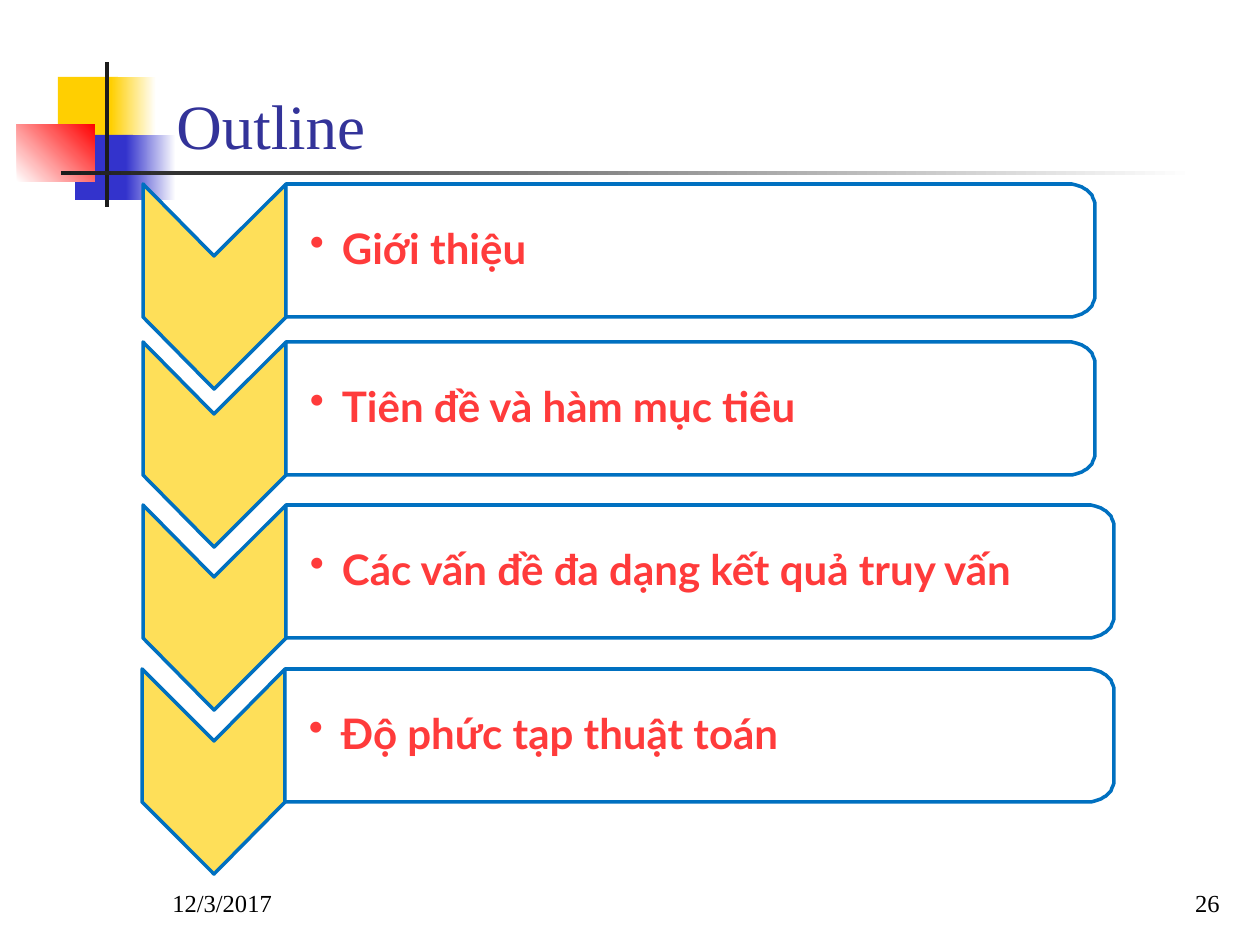
from math import cos, pi, sin
from lxml import etree
from pptx import Presentation
from pptx.dml.color import RGBColor
from pptx.enum.shapes import MSO_SHAPE
from pptx.enum.text import MSO_ANCHOR, PP_ALIGN
from pptx.oxml.ns import qn
from pptx.util import Pt

RECT = MSO_SHAPE.RECTANGLE
BOTTOM, MIDDLE = MSO_ANCHOR.BOTTOM, MSO_ANCHOR.MIDDLE
LEFT, RIGHT = PP_ALIGN.LEFT, PP_ALIGN.RIGHT

WHITE = RGBColor(0xFF, 0xFF, 0xFF)
BLACK = RGBColor(0, 0, 0)
DARK = RGBColor(0x1C, 0x1C, 0x1C)
GOLD = RGBColor(0xFF, 0xCF, 0x01)
INDIGO = RGBColor(0x33, 0x33, 0xCC)
NAVY = RGBColor(0x33, 0x33, 0x99)
RED = RGBColor(0xFF, 0, 0)
CORAL = RGBColor(0xFF, 0x3B, 0x3B)
YELLOW = RGBColor(0xFE, 0xDF, 0x59)
BLUE = RGBColor(0, 0x70, 0xC0)

SERIF, SANS = "Times New Roman", "Lato"
SCALE = 914400 / 126

DECOR = [
    ((58, 77, 60, 66), (GOLD,), 0),
    ((111, 77, 45, 66), (GOLD, WHITE), 0),
    ((75, 135, 58, 65), (INDIGO,), 0),
    ((126, 135, 50, 65), (INDIGO, WHITE), 0),
    ((17, 124, 78, 58), (WHITE, RED), 45),
    ((105, 62, 4, 145), (DARK,), 0),
    ((61, 171, 1134, 4), (DARK, WHITE), 0),
]
LABELS = [
    ("Outline", (164, 29, 1068, 139), 36, NAVY, LEFT),
    ("12/3/2017", (160, 861, 262, 63), 14, BLACK, LEFT),
    ("26", (970, 861, 262, 63), 14, BLACK, RIGHT),
]
STEPS = [
    ("Giới thiệu", 143, 184, 1095),
    ("Tiên đề và hàm mục tiêu", 143, 342, 1095),
    ("Các vấn đề đa dạng kết quả truy vấn", 143, 505, 1114),
    ("Độ phức tạp thuật toán", 142, 669, 1114),
]
WIDE, TALL, NOTCH = 143, 133, 72
CURVE_X, CURVE_Y, TURNS = 26, 22, 12


def px(n):
    return round(n * SCALE)


def write(frame, text, font, size, color, bold=False):
    para = frame.paragraphs[0]
    run = para.add_run()
    run.text = text
    run.font.name, run.font.size = font, Pt(size)
    run.font.bold, run.font.color.rgb = bold, color
    return para


def draw(shapes, points, fill):
    pen = shapes.build_freeform(*points[0], scale=SCALE)
    pen.add_line_segments(points[1:], close=True)
    shape = pen.convert_to_shape()
    shape.shadow.inherit = False
    shape.fill.solid()
    shape.fill.fore_color.rgb = fill
    shape.line.color.rgb = BLUE
    shape.line.width = Pt(2)
    return shape


def add_decor(shapes, area, colors, angle):
    shape = shapes.add_shape(RECT, *map(px, area))
    shape.shadow.inherit = False
    shape.line.fill.background()
    if len(colors) == 1:
        shape.fill.solid()
        shape.fill.fore_color.rgb = colors[0]
        return
    shape.fill.gradient()
    shape.fill.gradient_angle = angle
    for stop, color in zip(shape.fill.gradient_stops, colors):
        stop.color.rgb = color


def add_label(shapes, text, area, size, color, align):
    frame = shapes.add_textbox(*map(px, area)).text_frame
    frame.word_wrap = True
    frame.vertical_anchor = BOTTOM
    write(frame, text, SERIF, size, color).alignment = align


def add_step(shapes, text, left, top, right):
    edge, base, mid = left + WIDE, top + TALL, left + WIDE / 2
    draw(shapes, [(edge, top), (edge, base), (mid, base + NOTCH), (left, base),
                  (left, top), (mid, top + NOTCH)], YELLOW)

    arc = [(CURVE_X * (1 - cos(a)), CURVE_Y * (1 - sin(a)))
           for a in (pi / 2 * i / TURNS for i in range(TURNS + 1))]
    upper = [(right - x, top + y) for x, y in reversed(arc)]
    lower = [(right - x, base - y) for x, y in arc]
    box = draw(shapes, [(edge, top)] + upper + lower + [(edge, base)], WHITE)
    tint = box.fill._xPr.find(qn("a:solidFill"))[0]
    etree.SubElement(tint, qn("a:alpha"), val="90000")

    frame = box.text_frame
    frame.word_wrap = True
    frame.vertical_anchor = MIDDLE
    frame.margin_left = px(24)
    frame.margin_top = frame.margin_right = frame.margin_bottom = px(9)
    para = write(frame, text, SANS, 24, CORAL, True)
    para.alignment, para.line_spacing = LEFT, 0.9
    props = para._p.get_or_add_pPr()
    props.set("marL", str(px(32)))
    props.set("indent", str(-px(32)))
    etree.SubElement(props, qn("a:buChar"), char="•")


def main():
    deck = Presentation()
    deck.slide_width, deck.slide_height = px(1260), px(945)
    shapes = deck.slides.add_slide(deck.slide_layouts[6]).shapes
    for make, rows in ((add_decor, DECOR), (add_label, LABELS), (add_step, STEPS)):
        for row in rows:
            make(shapes, *row)
    deck.save("out.pptx")


if __name__ == "__main__":
    main()
